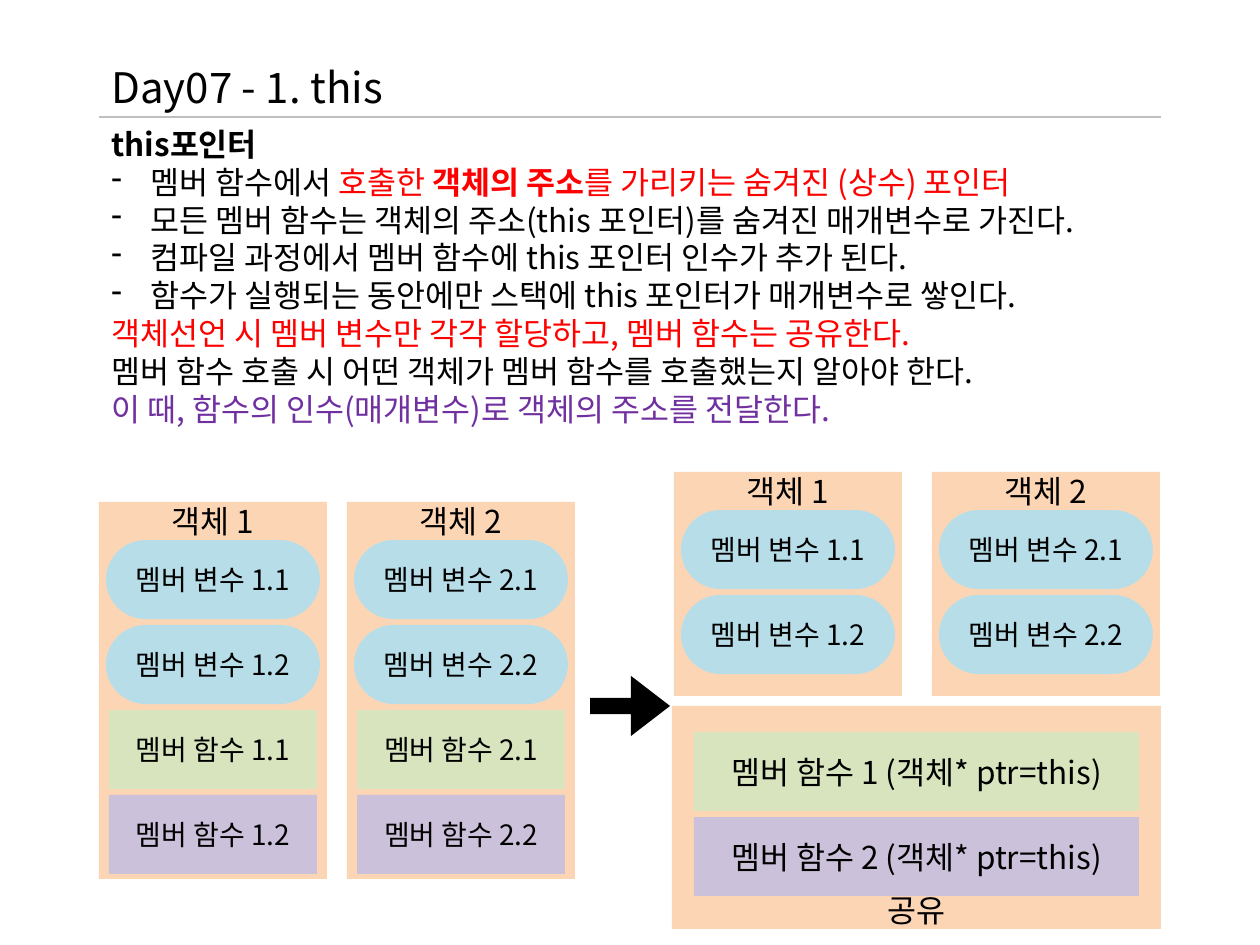
from lxml import etree
from pptx import Presentation
from pptx.dml.color import RGBColor
from pptx.enum.shapes import MSO_CONNECTOR, MSO_SHAPE
from pptx.enum.text import MSO_ANCHOR, PP_ALIGN
from pptx.oxml.ns import qn
from pptx.util import Pt

PX = 914400 / 126
FONT = "Noto Sans CJK KR"
RECT, PILL, ARROW = MSO_SHAPE.RECTANGLE, MSO_SHAPE.ROUNDED_RECTANGLE, MSO_SHAPE.RIGHT_ARROW
STRAIGHT = MSO_CONNECTOR.STRAIGHT
TOP, MIDDLE, BOTTOM = MSO_ANCHOR.TOP, MSO_ANCHOR.MIDDLE, MSO_ANCHOR.BOTTOM
CENTER = PP_ALIGN.CENTER

BLACK, RED, PURPLE = "000000", "FF0000", "7030A0"
PEACH, BLUE, GREEN, LILAC, GREY = "FCD5B5", "B7DEE8", "D7E4BD", "CCC1DA", "BFBFBF"
ROW_HEIGHT, ROW_PITCH = 79, 85

BULLETS = [
    [("멤버 함수에서 ", BLACK, False), ("호출한 ", RED, False),
     ("객체의 주소", RED, True), ("를 가리키는 숨겨진 (상수) 포인터", RED, False)],
    [("모든 멤버 함수는 객체의 주소(this 포인터)를 숨겨진 매개변수로 가진다.", BLACK, False)],
    [("컴파일 과정에서 멤버 함수에 this 포인터 인수가 추가 된다.", BLACK, False)],
    [("함수가 실행되는 동안에만 스택에 this 포인터가 매개변수로 쌓인다.", BLACK, False)],
]
REMARKS = [
    [("객체선언 시 멤버 변수만 각각 할당하고, 멤버 함수는 공유한다.", RED, False)],
    [("멤버 함수 호출 시 어떤 객체가 멤버 함수를 호출했는지 알아야 한다.", BLACK, False)],
    [("이 때, 함수의 인수(매개변수)로 객체의 주소를 전달한다.", PURPLE, False)],
]


def px(*values):
    return [round(value * PX) for value in values]


def color(hex_text):
    return RGBColor.from_string(hex_text)


def style_span(span, size, hex_text=BLACK, bold=False):
    span.font.name = FONT
    span.font.size = Pt(size)
    span.font.bold = bold
    span.font.color.rgb = color(hex_text)
    east_asian = etree.SubElement(span.font._element, qn("a:ea"))
    east_asian.set("typeface", FONT)


def add_dash(para):
    """Give the paragraph a hanging dash bullet."""
    properties = para._p.get_or_add_pPr()
    indent = px(39)[0]
    properties.set("marL", str(indent))
    properties.set("indent", str(-indent))
    etree.SubElement(properties, qn("a:buFontTx"))
    etree.SubElement(properties, qn("a:buChar")).set("char", "-")


def add_text(page, box, lines, size):
    """Write lines given as (spans, has_dash), each span as (text, colour, bold)."""
    frame = page.shapes.add_textbox(*px(*box)).text_frame
    frame.word_wrap = True
    frame.margin_top = px(8)[0]
    for number, (spans, has_dash) in enumerate(lines):
        para = frame.add_paragraph() if number else frame.paragraphs[0]
        para.line_spacing = Pt(size * 1.2)
        if has_dash:
            add_dash(para)
        for text, hex_text, bold in spans:
            span = para.add_run()
            span.text = text
            style_span(span, size, hex_text, bold)


def add_block(page, kind, box, fill, text="", size=16, anchor=MIDDLE):
    block = page.shapes.add_shape(kind, *px(*box))
    block.shadow.inherit = False
    block.fill.solid()
    block.fill.fore_color.rgb = color(fill)
    block.line.fill.background()
    if kind == PILL:
        block.adjustments[0] = 0.5
    if text:
        frame = block.text_frame
        frame.word_wrap = True
        frame.vertical_anchor = anchor
        frame.margin_left = frame.margin_right = 0
        frame.margin_top = frame.margin_bottom = 0
        frame.text = text
        para = frame.paragraphs[0]
        para.alignment = CENTER
        para.line_spacing = Pt(size * 1.2)
        style_span(para.runs[0], size)
    return block


def add_heading(page, left, top, width):
    add_text(page, (left, top, width, 63), [([("Day07 - 1. this", BLACK, False)], False)], 24)
    rule_y = top + 63
    rule = page.shapes.add_connector(STRAIGHT, *px(left, rule_y, left + width, rule_y))
    rule.line.color.rgb = color(GREY)
    rule.line.width = Pt(0.75)
    etree.SubElement(rule._element.spPr, qn("a:effectLst"))


def add_explanation(page, box):
    lines = [([("this포인터", BLACK, True)], False)]
    lines += [(spans, True) for spans in BULLETS]
    lines += [(spans, False) for spans in REMARKS]
    add_text(page, box, lines, 18)


def add_object_card(page, left, top, height, number, with_functions):
    add_block(page, RECT, (left, top, 228, height), PEACH, f"객체 {number}", 18, TOP)
    rows = [(PILL, 7, 214, BLUE, "변수", 1), (PILL, 7, 214, BLUE, "변수", 2)]
    if with_functions:
        rows += [(RECT, 10, 208, GREEN, "함수", 1), (RECT, 10, 208, LILAC, "함수", 2)]
    for index, (kind, inset, width, fill, member, item) in enumerate(rows):
        box = (left + inset, top + 38 + index * ROW_PITCH, width, ROW_HEIGHT)
        add_block(page, kind, box, fill, f"멤버 {member} {number}.{item}")


def add_shared_functions(page, left, top, width, height):
    add_block(page, RECT, (left, top, width, height), PEACH, "공유", 18, BOTTOM)
    for index, fill in enumerate((GREEN, LILAC)):
        box = (left + 22, top + 26 + index * ROW_PITCH, width - 44, ROW_HEIGHT)
        add_block(page, RECT, box, fill, f"멤버 함수 {index + 1} (객체* ptr=this)", 18)


def main():
    deck = Presentation()
    deck.slide_width, deck.slide_height = px(1260, 945)
    page = deck.slides.add_slide(deck.slide_layouts[6])
    add_heading(page, 99, 54, 1062)
    add_explanation(page, (99, 117, 1062, 317))
    for index in range(2):
        add_object_card(page, 99 + index * 248, 502, 377, index + 1, True)
        add_object_card(page, 674 + index * 258, 472, 224, index + 1, False)
    add_shared_functions(page, 672, 706, 489, 223)
    arrow = add_block(page, ARROW, (590, 676, 80, 60), BLACK)
    arrow.adjustments[0], arrow.adjustments[1] = 0.27, 0.65
    deck.save("out.pptx")


if __name__ == "__main__":
    main()
